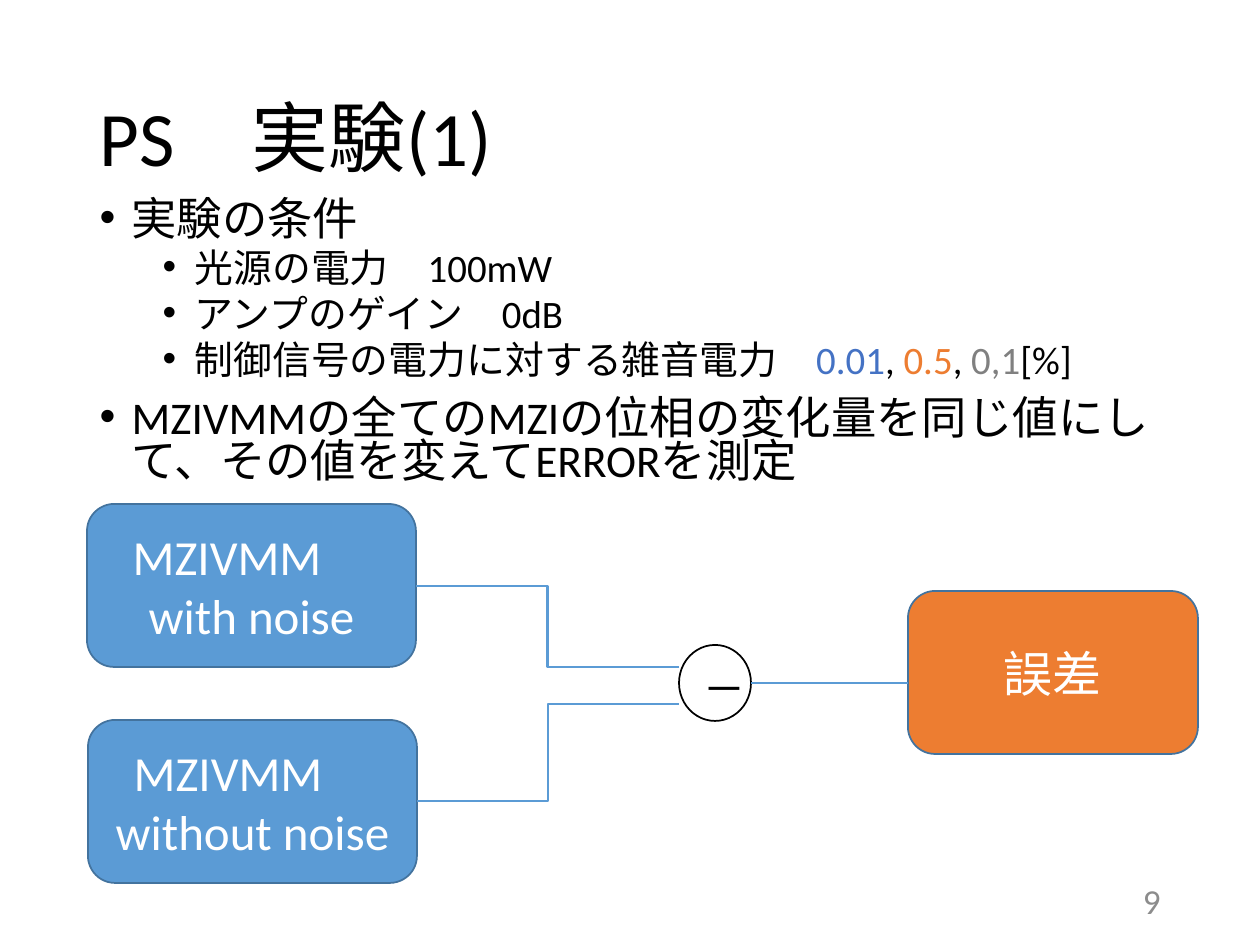
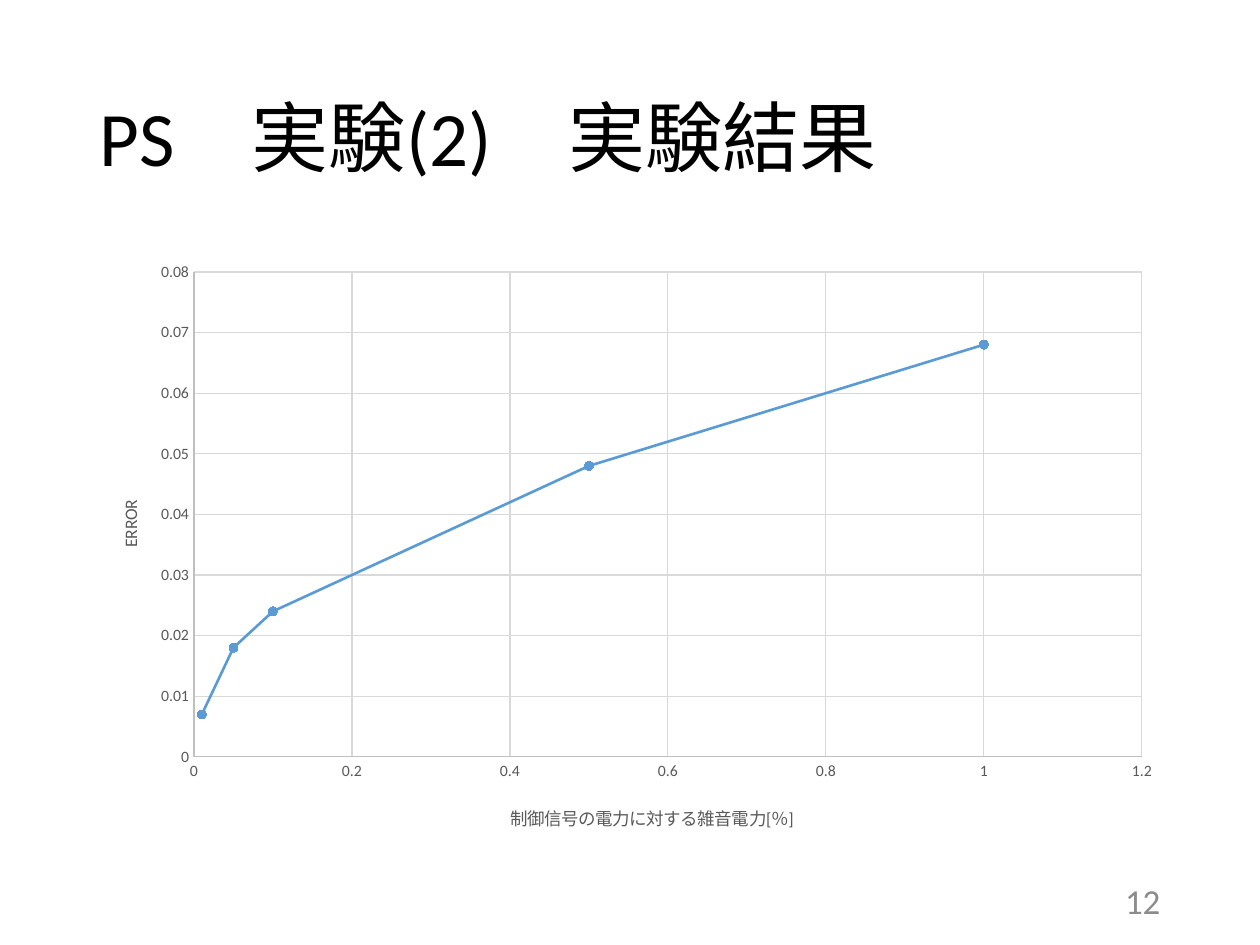
import pptx
import pptx.chart.data
import pptx.dml.color
import pptx.enum.chart
import pptx.enum.shapes
import pptx.enum.text
import pptx.oxml
import pptx.oxml.ns
import pptx.util

Pt = pptx.util.Pt
RGB = pptx.dml.color.RGBColor
qn = pptx.oxml.ns.qn
SHAPE = pptx.enum.shapes.MSO_SHAPE
CONNECTOR = pptx.enum.shapes.MSO_CONNECTOR
ALIGN = pptx.enum.text.PP_ALIGN
ANCHOR = pptx.enum.text.MSO_ANCHOR

EMU_PER_PX = 914400 / 126
FONT = "Calibri"

BLACK = RGB(0x00, 0x00, 0x00)
WHITE = RGB(0xFF, 0xFF, 0xFF)
BLUE = RGB(0x5B, 0x9B, 0xD5)
BLUE_EDGE = RGB(0x43, 0x73, 0x9E)
ORANGE = RGB(0xED, 0x7D, 0x31)
ROYAL = RGB(0x44, 0x72, 0xC4)
GRAY = RGB(0x80, 0x80, 0x80)
NUMBER_GRAY = RGB(0x8C, 0x8C, 0x8C)
AXIS_TEXT = RGB(0x59, 0x59, 0x59)
AXIS_LINE = RGB(0xBF, 0xBF, 0xBF)
GRID_LINE = RGB(0xD9, 0xD9, 0xD9)

TITLE_BOX = (87, 50, 1086, 183)
NUMBER_BOX = (890, 876, 283, 50)

# Per list level: text size, space before (pt), left margin (px)
LIST_LEVELS = [(25.9, 10, 32), (22.2, 5, 95)]
HANGING = 32


def px(length):
    return round(length * EMU_PER_PX)


def apply(target, **values):
    for name, value in values.items():
        setattr(target, name, value)


def style_font(font, size, color):
    apply(font, name=FONT, size=Pt(size), bold=False)
    font.color.rgb = color


def style_line(line, color, width):
    line.color.rgb = color
    line.width = Pt(width)


def set_layout(node, index, **fractions):
    """Give a chart part a fixed place, in fractions of the chart."""
    layout = node.find(qn("c:layout"))
    if layout is not None:
        node.remove(layout)
    inner = '<c:layoutTarget val="inner"/>' if "w" in fractions else ""
    modes = "".join(f'<c:{key}Mode val="edge"/>' for key in "xy")
    places = "".join(f'<c:{key} val="{value:.4f}"/>' for key, value in fractions.items())
    node.insert(index, pptx.oxml.parse_xml(
        f'<c:layout {pptx.oxml.ns.nsdecls("c")}><c:manualLayout>'
        f"{inner}{modes}{places}</c:manualLayout></c:layout>"))


class Deck:
    def __init__(self):
        self.presentation = pptx.Presentation()
        apply(self.presentation, slide_width=px(1260), slide_height=px(945))
        self.slide = None

    def new_slide(self, layout, title, number):
        layouts = self.presentation.slide_layouts
        self.slide = self.presentation.slides.add_slide(layouts.get_by_name(layout))
        heading = self.slide.shapes.title
        self.place(heading, TITLE_BOX)
        self.set_text(heading, title, 44, BLACK, ALIGN.LEFT)
        heading.text_frame.paragraphs[0].line_spacing = 0.9
        footer = self.slide.shapes.add_textbox(*map(px, NUMBER_BOX))
        self.set_text(footer, number, 20, NUMBER_GRAY, ALIGN.RIGHT)

    def place(self, shape, box):
        apply(shape, **dict(zip(("left", "top", "width", "height"), map(px, box))))

    def set_text(self, shape, text, size, color, alignment):
        frame = shape.text_frame
        apply(frame, word_wrap=True, vertical_anchor=ANCHOR.MIDDLE,
              auto_size=pptx.enum.text.MSO_AUTO_SIZE.NONE)
        paragraph = frame.paragraphs[0]
        paragraph.alignment = alignment
        run = paragraph.add_run()
        run.text = text
        style_font(run.font, size, color)

    def bullets(self, box, items):
        """Fill the body with (level, [(text, color), ...]) items."""
        body = self.slide.placeholders[1]
        self.place(body, box)
        frame = body.text_frame
        apply(frame, word_wrap=True, auto_size=pptx.enum.text.MSO_AUTO_SIZE.NONE)
        for index, (level, parts) in enumerate(items):
            paragraph = frame.add_paragraph() if index else frame.paragraphs[0]
            size, before, margin = LIST_LEVELS[level]
            apply(paragraph, level=level, line_spacing=0.8,
                  space_before=Pt(before), space_after=Pt(0))
            properties = paragraph._p.get_or_add_pPr()
            properties.set("marL", str(px(margin)))
            properties.set("indent", str(px(-HANGING)))
            for tag, key, value in (("a:buFont", "typeface", "Arial"),
                                    ("a:buChar", "char", "•")):
                bullet = pptx.oxml.parse_xml(f'<{tag} {pptx.oxml.ns.nsdecls("a")}/>')
                bullet.set(key, value)
                properties.append(bullet)
            for text, color in parts:
                run = paragraph.add_run()
                run.text = text
                style_font(run.font, size, color)

    def node(self, box, text, fill=None, edge=BLUE_EDGE, color=WHITE,
             kind=SHAPE.ROUNDED_RECTANGLE):
        shape = self.slide.shapes.add_shape(kind, *map(px, box))
        shape.shadow.inherit = False
        if fill is None:
            shape.fill.background()
        else:
            shape.fill.solid()
            shape.fill.fore_color.rgb = fill
        style_line(shape.line, edge, 1)
        self.set_text(shape, text, 28, color, ALIGN.CENTER)

    def link(self, start, end, kind=CONNECTOR.ELBOW):
        connector = self.slide.shapes.add_connector(kind, *map(px, start + end))
        style_line(connector.line, BLUE, 1.5)
        connector.element.spPr.append(
            pptx.oxml.parse_xml(f'<a:effectLst {pptx.oxml.ns.nsdecls("a")}/>'))

    def scatter(self, box, plot_box, points, axes):
        """axes: (title, title left, title top, maximum, step) for x and y."""
        data = pptx.chart.data.XyChartData()
        series = data.add_series("Series 1")
        for x, y in points:
            series.add_data_point(x, y)
        chart = self.slide.shapes.add_chart(
            pptx.enum.chart.XL_CHART_TYPE.XY_SCATTER_LINES, *map(px, box), data).chart
        apply(chart, has_legend=False, has_title=False)
        style_font(chart.font, 10, BLACK)
        plot = chart.plots[0]
        plot.vary_by_categories = False
        curve = plot.series[0]
        curve.smooth = False
        style_line(curve.format.line, BLUE, 1.5)
        apply(curve.marker, style=pptx.enum.chart.XL_MARKER_STYLE.CIRCLE, size=5)
        curve.marker.format.fill.solid()
        curve.marker.format.fill.fore_color.rgb = BLUE
        style_line(curve.marker.format.line, BLUE, 0.75)

        left, top, width, height = box
        plot_left, plot_top, plot_width, plot_height = plot_box
        area = chart._chartSpace.find(".//" + qn("c:plotArea"))
        set_layout(area, 0, x=(plot_left - left) / width, y=(plot_top - top) / height,
                   w=plot_width / width, h=plot_height / height)
        no_tick = pptx.enum.chart.XL_TICK_MARK.NONE
        for axis, axis_node, (title, title_left, title_top, maximum, step) in zip(
                (chart.category_axis, chart.value_axis), area.findall(qn("c:valAx")), axes):
            apply(axis, minimum_scale=0, maximum_scale=maximum, major_unit=step,
                  has_major_gridlines=True, major_tick_mark=no_tick,
                  minor_tick_mark=no_tick)
            apply(axis.tick_labels, number_format="General", number_format_is_linked=False)
            style_font(axis.tick_labels.font, 9, AXIS_TEXT)
            style_line(axis.format.line, AXIS_LINE, 0.75)
            style_line(axis.major_gridlines.format.line, GRID_LINE, 0.75)
            run = axis.axis_title.text_frame.paragraphs[0].add_run()
            run.text = title
            style_font(run.font, 10, AXIS_TEXT)
            set_layout(axis_node.find(qn("c:title")), 1,
                       x=(title_left - left) / width, y=(title_top - top) / height)


def experiment_setup(deck):
    deck.new_slide("Title and Content", "PS　実験(1)", "9")
    deck.bullets((87, 194, 1086, 311), [
        (0, [("実験の条件", BLACK)]),
        (1, [("光源の電力　100mW", BLACK)]),
        (1, [("アンプのゲイン　0dB", BLACK)]),
        (1, [("制御信号の電力に対する雑音電力　", BLACK), ("0.01", ROYAL), (", ", BLACK),
             ("0.5", ORANGE), (", ", BLACK), ("0,1", GRAY), ("[%]", BLACK)]),
        (0, [("MZIVMMの全てのMZIの位相の変化量を同じ値にして、"
              "その値を変えてERRORを測定", BLACK)]),
    ])
    deck.node((87, 504, 329, 163), "MZIVMM　with noise", BLUE)
    deck.node((88, 720, 329, 163), "MZIVMM　without noise", BLUE)
    deck.node((908, 591, 290, 163), "誤差", ORANGE)
    deck.link((416, 586), (679, 667))
    deck.link((417, 801), (679, 704))
    deck.node((679, 645, 72, 76), "―", edge=BLACK, color=BLACK, kind=SHAPE.OVAL)
    deck.link((751, 683), (908, 683), CONNECTOR.STRAIGHT)


def experiment_result(deck):
    deck.new_slide("Title Only", "PS　実験(2)　実験結果", "12")
    noise_and_error = [(0.01, 0.007), (0.05, 0.018), (0.1, 0.024),
                       (0.5, 0.048), (1, 0.068)]
    deck.scatter((87, 252, 1086, 600), (194, 272, 948, 485), noise_and_error, [
        ("制御信号の電力に対する雑音電力[％]", 507, 801, 1.2, 0.2),
        ("ERROR", 116, 497, 0.08, 0.01),
    ])


def main():
    deck = Deck()
    experiment_setup(deck)
    experiment_result(deck)
    deck.presentation.save("out.pptx")


if __name__ == "__main__":
    main()
